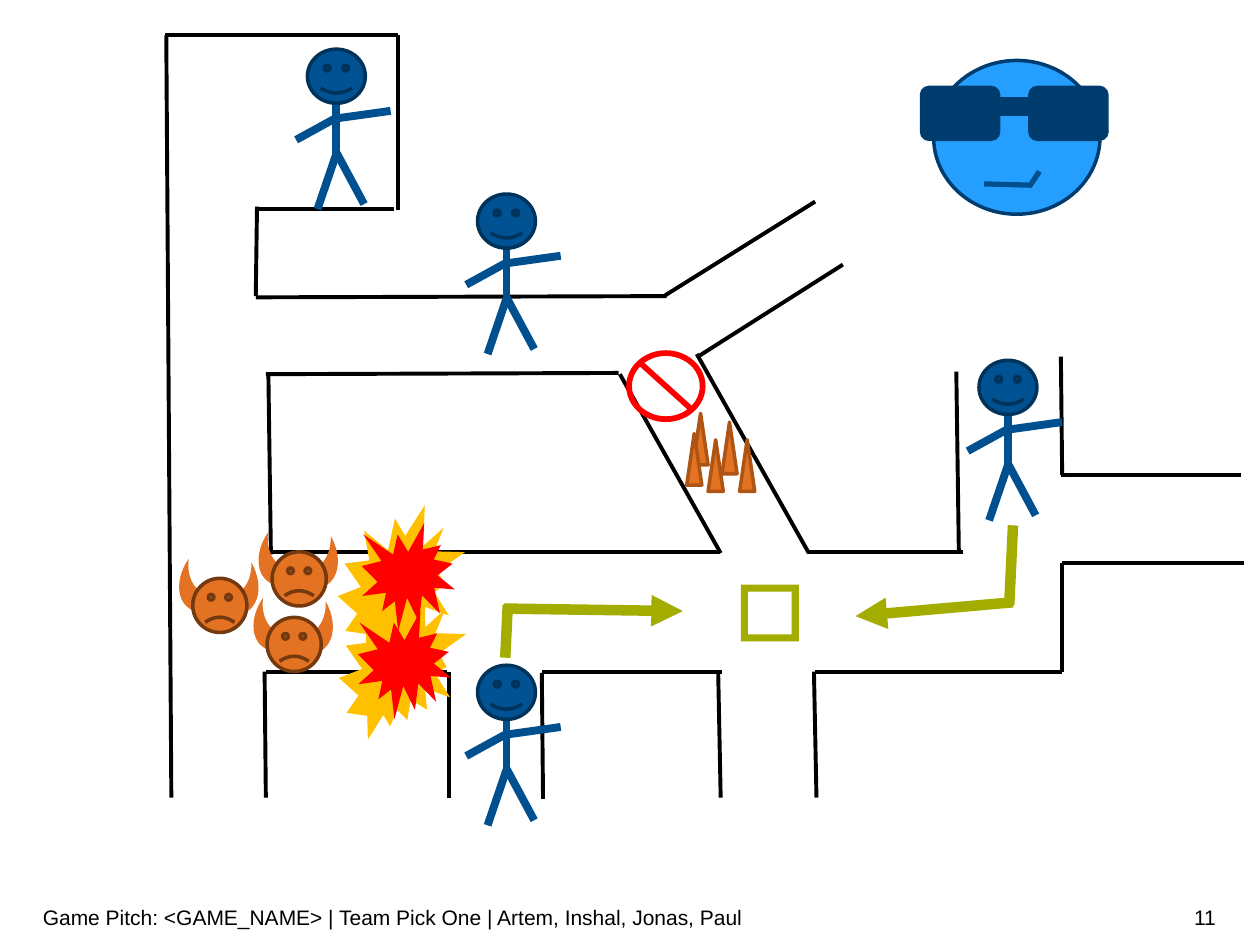
"""Build the game pitch slide with a maze, heroes, demons and their moves."""
from lxml import etree
from pptx import Presentation
from pptx import util as u
from pptx.dml.color import RGBColor
from pptx.enum import shapes, text
from pptx.oxml.ns import qn

COLORS = {
    "wall": "000000", "limb": "005090", "hero": "005293", "hero_edge": "003359",
    "demon": "E37222", "demon_edge": "74390F", "spike_edge": "AE5516",
    "blast": "FFC000", "fire": "FF0000", "move": "A2AD00",
    "boss": "259FFF", "shades": "003D6E",
}
KIND = shapes.MSO_SHAPE

deck = Presentation()
deck.slide_width, deck.slide_height = u.Inches(10), u.Inches(7.5)
slide = deck.slides.add_slide(deck.slide_layouts[6])


def add_stroke(points, color, width, arrow=False):
    stroke = slide.shapes.add_connector(
        shapes.MSO_CONNECTOR.STRAIGHT, *[u.Inches(value) for value in points])
    stroke.line.color.rgb = RGBColor.from_string(COLORS[color])
    stroke.line.width = u.Pt(width)
    if arrow:
        etree.SubElement(stroke.line._get_or_add_ln(), qn("a:tailEnd"), type="triangle")
    etree.SubElement(stroke._element.spPr, qn("a:effectLst"))


def add_figure(kind, box, fill, edge=None, turn=0, adjust=None):
    figure = slide.shapes.add_shape(kind, *[u.Inches(value) for value in box])
    figure.shadow.inherit = False
    figure.fill.solid()
    figure.fill.fore_color.rgb = RGBColor.from_string(COLORS[fill])
    if edge:
        figure.line.color.rgb = RGBColor.from_string(COLORS[edge])
        figure.line.width = u.Pt(2)
    else:
        figure.line.fill.background()
    figure.rotation = turn
    if adjust is not None:
        figure.adjustments[0] = adjust


walls = [
    (3.56, 6.33, 3.56, 5.33), (4.31, 6.34, 4.3, 5.34), (3.55, 5.33, 2.11, 5.33),
    (5.73, 5.33, 4.3, 5.33), (5.72, 6.33, 5.7, 5.34), (6.48, 6.33, 6.46, 5.33),
    (8.43, 5.33, 6.47, 5.33), (2.11, 6.33, 2.1, 5.33), (1.36, 6.33, 1.32, 0.28),
    (5.71, 4.38, 2.09, 4.38), (8.43, 3.77, 8.42, 2.83), (7.61, 4.38, 7.59, 2.95),
    (5.72, 4.39, 4.92, 2.97), (6.42, 4.39, 5.53, 2.81), (7.64, 4.38, 6.41, 4.38),
    (9.87, 4.47, 8.43, 4.47), (9.85, 3.77, 8.42, 3.77), (8.43, 5.33, 8.43, 4.47),
    (2.15, 4.4, 2.13, 2.96), (4.91, 2.96, 2.11, 2.97), (5.29, 2.35, 2.03, 2.36),
    (2.03, 2.35, 2.04, 1.64), (2.03, 1.66, 3.13, 1.66), (3.16, 1.67, 3.16, 0.28),
    (1.31, 0.28, 3.16, 0.28), (6.69, 2.1, 5.54, 2.83), (6.47, 1.6, 5.27, 2.35),
]
for wall in walls:
    add_stroke(wall, "wall", 2.25)

for left, top in [(2.16, 4.38), (1.53, 4.59), (2.12, 4.9)]:
    add_figure(KIND.MOON, (left - 0.1, top - 0.12, 0.32, 0.45), "demon", turn=305.1)
    add_figure(KIND.MOON, (left + 0.19, top - 0.1, 0.32, 0.45), "demon", turn=240.1)
    add_figure(KIND.SMILEY_FACE, (left, top, 0.43, 0.43), "demon", "demon_edge", adjust=-0.047)

for left, top in [(2.69, 4.66), (2.68, 4.01)]:
    add_figure(KIND.EXPLOSION2, (left, top, 1.01, 1.21), "blast")
for left, top in [(2.87, 4.15), (2.84, 4.85)]:
    add_figure(KIND.EXPLOSION1, (left, top, 0.74, 0.86), "fire")

moves = [
    ((4.01, 5.22, 4.03, 4.8), False), ((4, 4.83, 5.42, 4.85), True),
    ((8.01, 4.8, 8.04, 4.17), False), ((8.04, 4.78, 6.79, 4.89), True),
]
for points, arrow in moves:
    add_stroke(points, "move", 6, arrow)
add_figure(KIND.FRAME, (5.88, 4.64, 0.46, 0.45), "move")

for left, top in [(5.5, 3.28), (5.73, 3.35), (5.62, 3.49), (5.45, 3.44), (5.87, 3.49)]:
    add_figure(KIND.ISOSCELES_TRIANGLE, (left, top, 0.12, 0.41), "demon", "spike_edge")
add_figure(KIND.NO_SYMBOL, (4.97, 2.78, 0.63, 0.57), "fire", adjust=0.08)

limbs = [
    (0.23, 0.36, 0.23, 0.83), (0.23, 0.83, 0.08, 1.27), (0.23, 0.82, 0.45, 1.23),
    (0.23, 0.55, 0.66, 0.49), (-0.09, 0.72, 0.22, 0.55),
]
for left, top in [(2.44, 0.39), (3.79, 1.54), (3.79, 5.28), (7.77, 2.86)]:
    for x1, y1, x2, y2 in limbs:
        add_stroke((left + x1, top + y1, left + x2, top + y2), "limb", 4.5)
    add_figure(KIND.SMILEY_FACE, (left, top, 0.46, 0.43), "hero", "hero_edge")

add_figure(KIND.OVAL, (7.41, 0.48, 1.32, 1.22), "boss", "shades")
for glass in [(7.3, 0.68, 0.64, 0.44), (8.16, 0.68, 0.64, 0.44), (7.62, 0.77, 0.64, 0.15)]:
    add_figure(KIND.ROUNDED_RECTANGLE, glass, "shades")
for smirk in [(7.81, 1.46, 8.19, 1.47), (8.17, 1.48, 8.25, 1.36)]:
    add_stroke(smirk, "limb", 3)

frame_format = {
    "word_wrap": True, "vertical_anchor": text.MSO_ANCHOR.MIDDLE,
    "margin_left": 0, "margin_right": 0,
    "margin_top": u.Inches(0.05), "margin_bottom": u.Inches(0.05),
}
font_format = {"name": "Arial", "size": u.Pt(12)}
footers = [
    ("Game Pitch: <GAME_NAME> | Team Pick One | Artem, Inshal, Jonas, Paul",
     0.34, 7.07, text.PP_ALIGN.LEFT),
    ("11", 7.41, 2.24, text.PP_ALIGN.RIGHT),
]
for words, left, width, align in footers:
    footer = slide.shapes.add_textbox(
        u.Inches(left), u.Inches(7.08), u.Inches(width), u.Inches(0.4)).text_frame
    for name, value in frame_format.items():
        setattr(footer, name, value)
    line = footer.paragraphs[0]
    line.alignment = align
    run = line.add_run()
    run.text = words
    for name, value in font_format.items():
        setattr(run.font, name, value)
    run.font.color.rgb = RGBColor.from_string(COLORS["wall"])

deck.save("out.pptx")
